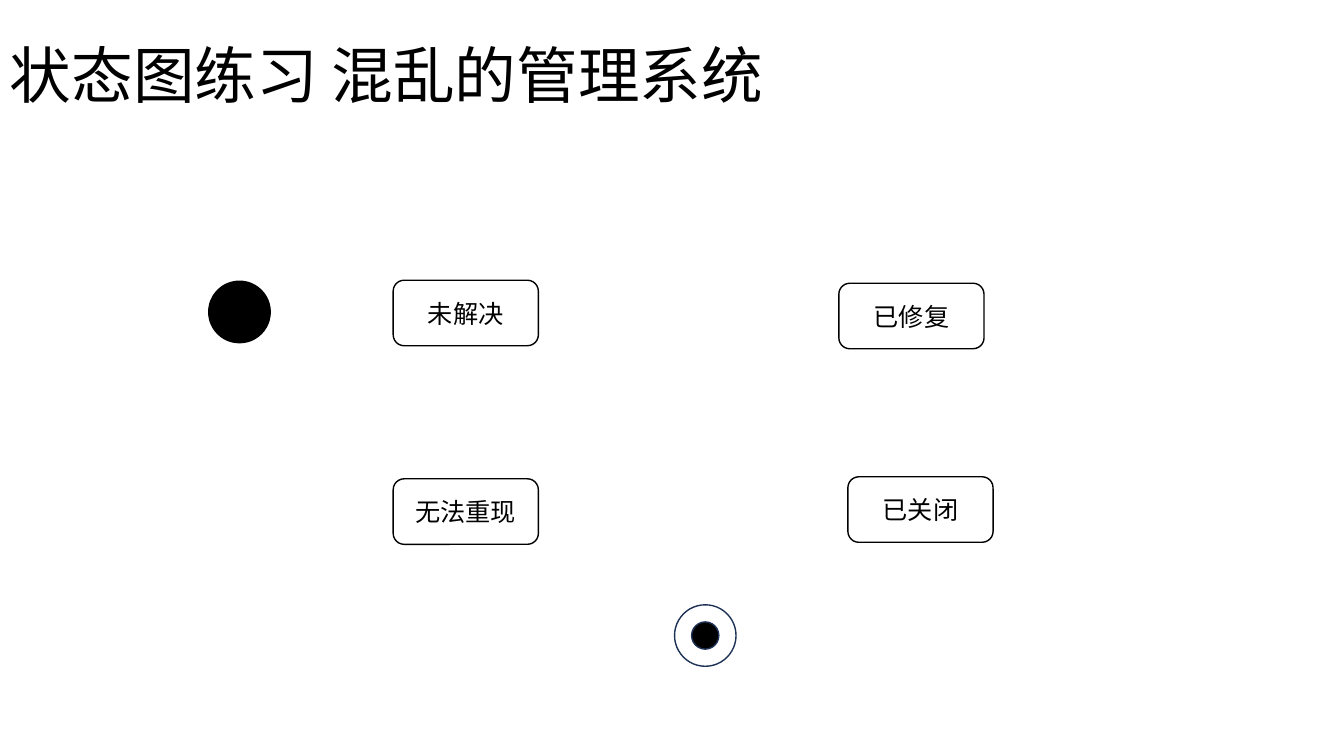
from lxml.etree import SubElement
from pptx import Presentation
from pptx.dml.color import RGBColor as Rgb
from pptx.enum.shapes import MSO_SHAPE as Form
from pptx.enum.text import MSO_ANCHOR as Anchor, PP_ALIGN as Align
from pptx.oxml.ns import qn
from pptx.util import Inches, Pt

FONT = "Noto Sans CJK SC"
BLACK, WHITE, NAVY = "000000", "FFFFFF", "1E3256"
STATES = [
    ("未解决", 3.9, 2.78),
    ("已修复", 8.32, 2.81),
    ("无法重现", 3.9, 4.75),
    ("已关闭", 8.41, 4.73),
]


def color(code):
    return Rgb.from_string(code)


def write(frame, text, size, align):
    frame.word_wrap = True
    frame.vertical_anchor = Anchor.MIDDLE
    para = frame.paragraphs[0]
    para.text = text
    para.alignment = align
    font = para.font
    font.size = Pt(size)
    font.name = FONT
    font.color.rgb = color(BLACK)
    props = para._p.pPr.find(qn("a:defRPr"))
    SubElement(props, qn("a:ea"), typeface=FONT)
    return para


def add_title(slide, text):
    box = slide.shapes.add_textbox(Inches(0), Inches(0.24), Inches(11.5), Inches(1.08))
    write(box.text_frame, text, 44, Align.LEFT).line_spacing = 0.9


def add_form(slide, form, x, y, w, h, fill, line):
    shape = slide.shapes.add_shape(form, Inches(x), Inches(y), Inches(w), Inches(h))
    shape.shadow.inherit = False
    if fill:
        shape.fill.solid()
        shape.fill.fore_color.rgb = color(fill)
    else:
        shape.fill.background()
    shape.line.color.rgb = color(line)
    shape.line.width = Pt(1)
    return shape


def add_state(slide, text, x, y):
    shape = add_form(slide, Form.ROUNDED_RECTANGLE, x, y, 1.44, 0.65, WHITE, BLACK)
    write(shape.text_frame, text, 18, Align.CENTER)


def add_dot(slide, x, y, size, fill, line):
    add_form(slide, Form.OVAL, x, y, size, size, fill, line)


def main():
    deck = Presentation()
    deck.slide_width, deck.slide_height = Inches(13.33), Inches(7.5)
    slide = deck.slides.add_slide(deck.slide_layouts[6])
    add_title(slide, "状态图练习 混乱的管理系统")
    for text, x, y in STATES:
        add_state(slide, text, x, y)
    add_dot(slide, 2.07, 2.79, 0.61, BLACK, BLACK)
    add_dot(slide, 6.86, 6.17, 0.27, BLACK, NAVY)
    add_dot(slide, 6.69, 6, 0.61, None, NAVY)
    deck.save("out.pptx")


if __name__ == "__main__":
    main()
